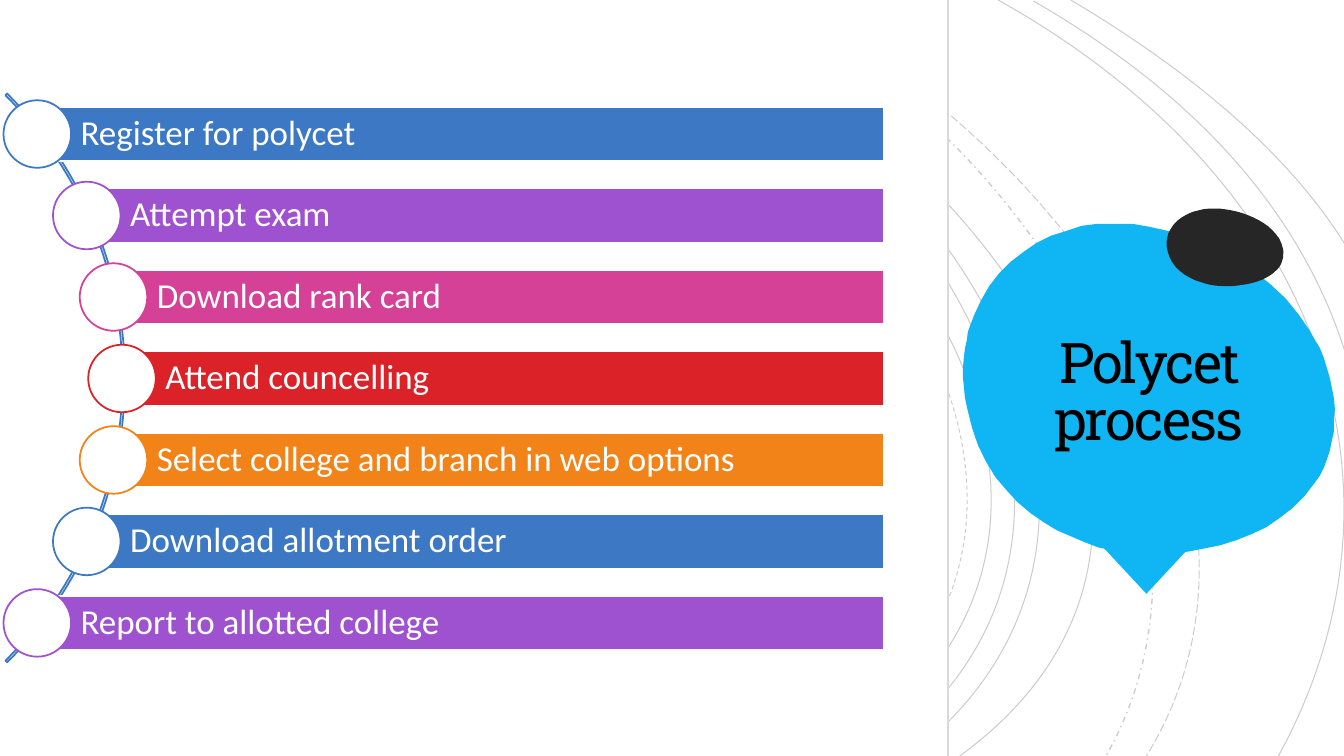
from math import sqrt

from lxml.etree import SubElement
from pptx import Presentation
from pptx.dml.color import RGBColor
from pptx.enum.dml import MSO_LINE
from pptx.enum.shapes import MSO_CONNECTOR, MSO_SHAPE
from pptx.enum.text import MSO_ANCHOR, MSO_AUTO_SIZE, PP_ALIGN
from pptx.oxml.ns import qn
from pptx.util import Inches, Pt

TITLE = "Polycet process"
BLUE, PURPLE, PINK, RED, ORANGE = "3C78C3", "9F52D0", "D64198", "DA2228", "F18318"
SKY, CHARCOAL, WHITE, BLACK, GREY = "10B6F4", "262626", "FFFFFF", "000000", "D9D9D9"
STEPS = [
    ("Register for polycet", BLUE),
    ("Attempt exam", PURPLE),
    ("Download rank card", PINK),
    ("Attend councelling", RED),
    ("Select college and branch in web options", ORANGE),
    ("Download allotment order", BLUE),
    ("Report to allotted college", PURPLE),
]

# Cubic curves: four control points, line width, dash
SOLID, DASH = MSO_LINE.SOLID, MSO_LINE.DASH
DASH_DOT, LONG_DASH = MSO_LINE.DASH_DOT, MSO_LINE.LONG_DASH
CURVES = [
    ([(4.35, 0), (8.35, 1.15), (11.09, 5.41), (7.48, 7.5)], 0.75, SOLID),
    ([(5, 0), (8.83, 1.25), (11.41, 5.39), (8.01, 7.5)], 0.75, DASH),
    ([(5.3, 0), (9.07, 1.28), (11.62, 5.38), (8.28, 7.5)], 0.75, SOLID),
    ([(5.96, 0), (9.48, 1.33), (11.62, 5.42), (8.68, 7.5)], 0.75, SOLID),
    ([(6.18, 0), (9.69, 1.38), (11.82, 5.34), (9.02, 7.5)], 0.75, SOLID),
    ([(6.55, 0), (9.9, 1.47), (12.53, 5.3), (9.52, 7.5)], 0.75, SOLID),
    ([(7.58, 0), (10.56, 1.67), (12.33, 5.1), (10.97, 7.5)], 1, DASH_DOT),
    ([(7.77, 0), (10.86, 1.69), (12.91, 5), (11.37, 7.5)], 0.75, LONG_DASH),
    ([(9.9, 0), (13.2, 1.85), (14.1, 4.91), (12.68, 7.5)], 0.75, SOLID),
    ([(10.25, 0.01), (11.9, 0.96), (12.92, 2.14), (13.35, 3.52)], 0.75, SOLID),
    ([(10.62, 0), (11.78, 0.69), (12.77, 1.5), (13.35, 2.44)], 0.75, SOLID),
]

# Both blobs share this outline; boxes are left, top, width, height
BLOB_BOX = (9.55, 2.22, 3.69, 3.28)
SPOT_BOX = (11.57, 2.07, 1.16, 0.77)
BLOB = [
    (9.59, 4.04), (9.57, 3.94), (9.56, 3.84), (9.55, 3.74), (9.55, 3.65), (9.56, 3.55),
    (9.57, 3.46), (9.59, 3.37), (9.6, 3.29), (9.66, 3.13), (9.73, 2.98), (9.81, 2.84),
    (9.91, 2.71), (10.02, 2.6), (10.15, 2.5), (10.28, 2.41), (10.42, 2.34), (10.58, 2.29),
    (10.73, 2.24), (10.89, 2.22), (11.05, 2.22), (11.23, 2.22), (11.4, 2.25), (11.58, 2.29),
    (11.76, 2.34), (11.94, 2.41), (12.11, 2.49), (12.28, 2.59), (12.45, 2.7), (12.6, 2.82),
    (12.75, 2.96), (12.88, 3.12), (12.99, 3.28), (13.04, 3.37), (13.09, 3.45), (13.13, 3.55),
    (13.16, 3.65), (13.19, 3.75), (13.21, 3.85), (13.23, 3.95), (13.24, 4.06), (13.23, 4.17),
    (13.23, 4.28), (13.21, 4.37), (13.19, 4.47), (13.16, 4.56), (13.13, 4.64), (13.09, 4.72),
    (13.04, 4.79), (12.94, 4.92), (12.82, 5.04), (12.69, 5.14), (12.56, 5.23), (12.41, 5.3),
    (12.26, 5.36), (12.1, 5.41), (11.95, 5.44), (11.8, 5.47), (11.66, 5.49), (11.53, 5.49),
    (11.4, 5.5), (11.29, 5.49), (11.16, 5.48), (11.03, 5.46), (10.89, 5.43), (10.76, 5.38),
    (10.62, 5.32), (10.48, 5.26), (10.35, 5.18), (10.22, 5.09), (10.09, 4.98), (9.98, 4.86),
    (9.87, 4.73), (9.78, 4.58), (9.7, 4.42), (9.64, 4.24),
]

PANEL_WIDTH, SLIDE_HEIGHT = 9.4, 7.5
FIRST_ROW_Y, LAST_ROW_Y = 1.33, 6.18
BAR_HEIGHT, BAR_RIGHT, CIRCLE = 0.54, 8.77, 0.67
NODE_ARC_X, NODE_ARC_RADIUS = -2.71, 3.92


def color(value):
    return RGBColor.from_string(value)


def style(shape, fill=None, line=None, width=1.25):
    shape.shadow.inherit = False
    if fill:
        shape.fill.solid()
        shape.fill.fore_color.rgb = color(fill)
    else:
        shape.fill.background()
    if line:
        shape.line.color.rgb = color(line)
        shape.line.width = Pt(width)
    else:
        shape.line.fill.background()


def add_preset(slide, kind, box, fill=None, line=None):
    shape = slide.shapes.add_shape(kind, *map(Inches, box))
    style(shape, fill, line)
    return shape


def add_outline(slide, points, close):
    start, *rest = [(Inches(x), Inches(y)) for x, y in points]
    builder = slide.shapes.build_freeform(*start)
    builder.add_line_segments(rest, close=close)
    return builder.convert_to_shape()


def add_curve(slide, controls, width, dash):
    """Turn the three segments of the control polygon into one cubic curve."""
    curve = add_outline(slide, controls, close=False)
    segments = list(curve._element.iter(qn("a:lnTo")))
    cubic = SubElement(segments[0].getparent(), qn("a:cubicBezTo"))
    for segment in segments:
        cubic.append(segment[0])
        segment.getparent().remove(segment)
    style(curve, line=BLACK, width=width)
    curve.line.dash_style = dash
    line_color = curve.line._ln.find(".//" + qn("a:srgbClr"))
    SubElement(line_color, qn("a:alpha")).set("val", "20000")


def add_blob(slide, box, fill):
    """Fit the shared blob outline into the box."""
    left, top, width, height = box
    blob_left, blob_top, blob_width, blob_height = BLOB_BOX
    points = [(left + (x - blob_left) * width / blob_width,
               top + (y - blob_top) * height / blob_height) for x, y in BLOB]
    style(add_outline(slide, points, close=True), fill)


def write(shape, text, font_name, size, text_color, alignment, spacing, insets):
    frame = shape.text_frame
    frame.word_wrap = True
    frame.auto_size = MSO_AUTO_SIZE.NONE
    frame.vertical_anchor = MSO_ANCHOR.MIDDLE
    frame.margin_left, frame.margin_top, frame.margin_right, frame.margin_bottom = map(Inches, insets)
    paragraph = frame.paragraphs[0]
    paragraph.alignment = alignment
    paragraph.line_spacing = spacing
    run = paragraph.add_run()
    run.text = text
    run.font.name = font_name
    run.font.size = Pt(size)
    run.font.color.rgb = color(text_color)
    return run


def add_backdrop(slide):
    for curve in CURVES:
        add_curve(slide, *curve)
    add_blob(slide, BLOB_BOX, SKY)
    pointer = add_preset(slide, MSO_SHAPE.ISOSCELES_TRIANGLE, (10.43, 4.88, 1.88, 1.01), SKY)
    pointer.rotation = 180
    add_preset(slide, MSO_SHAPE.RECTANGLE, (0, 0, PANEL_WIDTH, SLIDE_HEIGHT), WHITE)
    divider = slide.shapes.add_connector(
        MSO_CONNECTOR.STRAIGHT, Inches(PANEL_WIDTH), 0, Inches(PANEL_WIDTH), Inches(SLIDE_HEIGHT))
    divider.line.color.rgb = color(GREY)
    divider.line.width = Pt(1.5)
    SubElement(divider._element.spPr, qn("a:effectLst"))
    add_blob(slide, SPOT_BOX, CHARCOAL)


def add_title(slide):
    title = slide.shapes.title
    title.left, title.top, title.width, title.height = map(Inches, (9.79, 2.57, 3.21, 2.69))
    run = write(title, TITLE, "Roboto Slab", 40, BLACK, PP_ALIGN.CENTER, 0.85, [0.25] * 4)
    run.font._element.set("spc", "-150")
    slide.shapes._spTree.append(title._element)  # in front of the blob


def add_steps(slide):
    arc = add_preset(slide, MSO_SHAPE.BLOCK_ARC, (-6.74, -0.24, 7.98, 7.98), line=BLUE)
    for index, value in enumerate((189, 27, 0.003)):
        arc.adjustments[index] = value
    row_step = (LAST_ROW_Y - FIRST_ROW_Y) / (len(STEPS) - 1)
    middle_y = (FIRST_ROW_Y + LAST_ROW_Y) / 2
    for index, (text, accent) in enumerate(STEPS):
        y = FIRST_ROW_Y + index * row_step
        x = NODE_ARC_X + sqrt(NODE_ARC_RADIUS ** 2 - (y - middle_y) ** 2)
        bar = add_preset(slide, MSO_SHAPE.RECTANGLE,
                         (x, y - BAR_HEIGHT / 2, BAR_RIGHT - x, BAR_HEIGHT), accent, WHITE)
        write(bar, text, "Calibri", 25, WHITE, PP_ALIGN.LEFT, 0.9, (0.43, 0.07, 0.07, 0.07))
        add_preset(slide, MSO_SHAPE.OVAL,
                   (x - CIRCLE / 2, y - CIRCLE / 2, CIRCLE, CIRCLE), WHITE, accent)


def main():
    presentation = Presentation()
    presentation.slide_width = Inches(13.33)
    presentation.slide_height = Inches(SLIDE_HEIGHT)
    slide = presentation.slides.add_slide(presentation.slide_layouts[5])
    add_backdrop(slide)
    add_title(slide)
    add_steps(slide)
    presentation.save("out.pptx")


if __name__ == "__main__":
    main()
